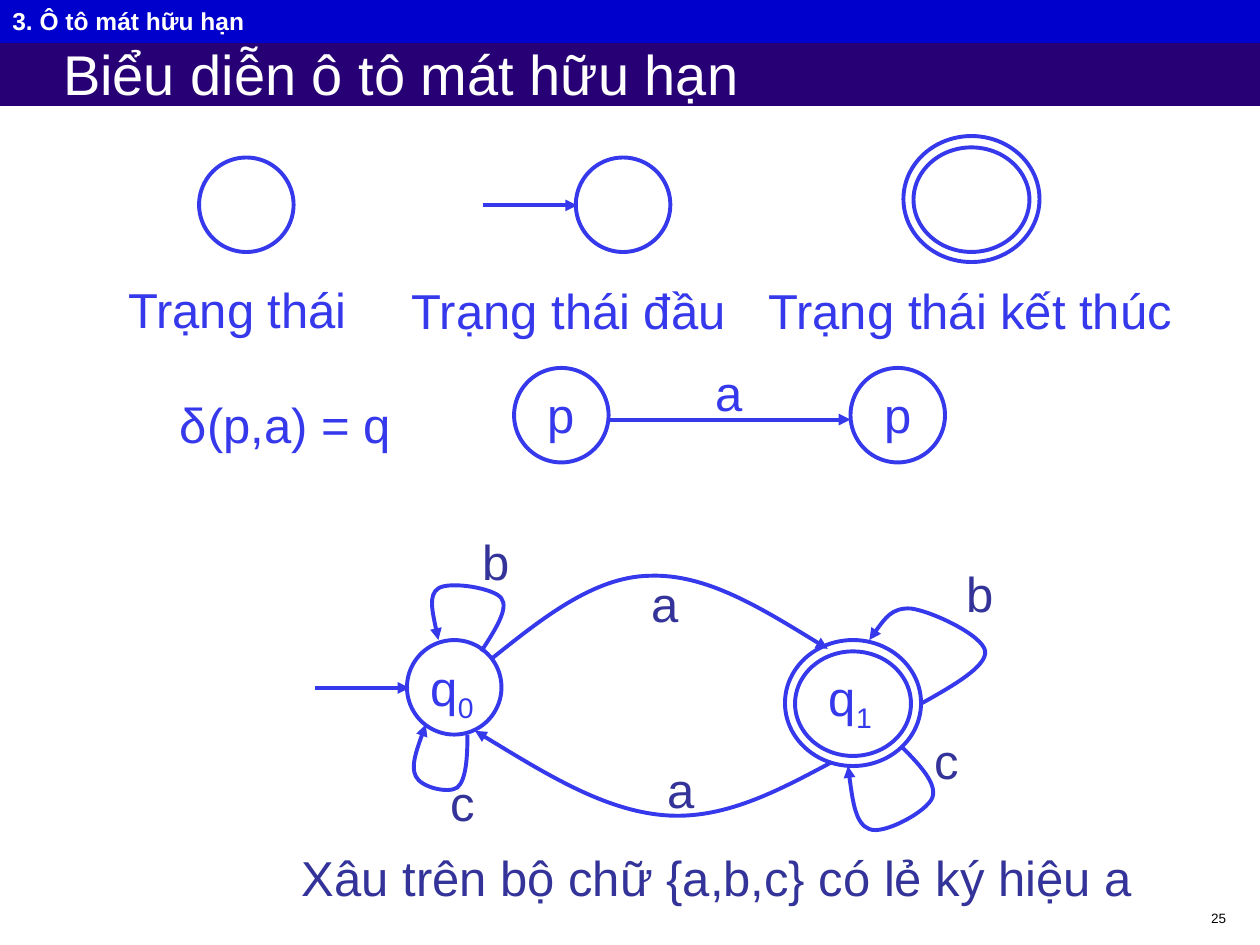
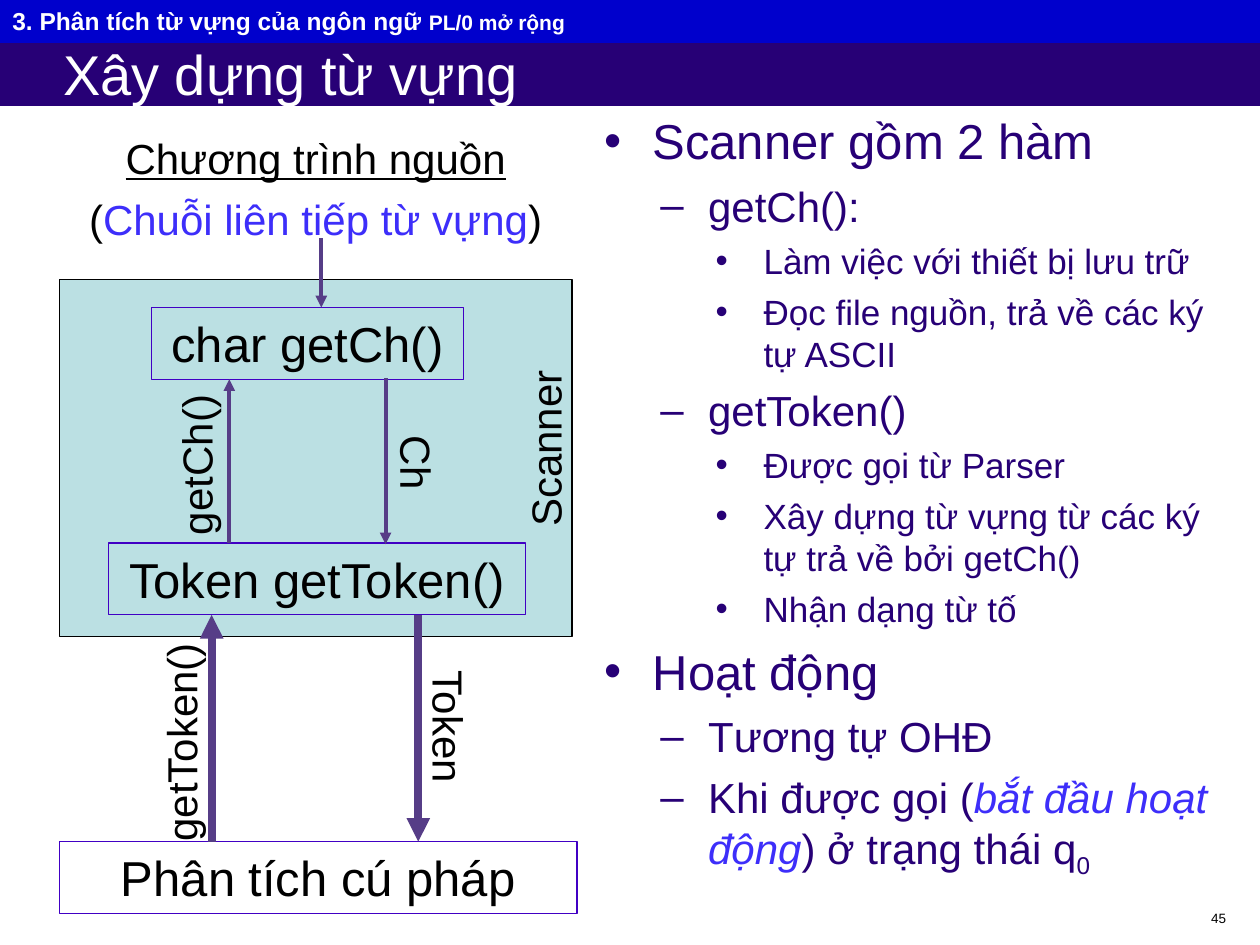
"""Two lecture slides: finite automata diagrams and the structure of a scanner."""
from dataclasses import dataclass
from typing import Any, NamedTuple

from lxml import etree
from pptx import Presentation
from pptx import util as u
from pptx.dml.color import RGBColor
from pptx.enum import shapes as kinds, text as txt
from pptx.oxml.ns import qn

FONT = "Arial"
WHITE, BLACK = "FFFFFF", "000000"
INDIGO, BANNER = "270076", "0000CC"
STATE_BLUE, SYMBOL_BLUE, ACCENT = "3539EB", "333399", "3D2EFA"
SCANNER_FILL, BOX_EDGE, FLOW = "BBE0E3", "4100C4", "563D87"
LEFT, CENTER, RIGHT = txt.PP_ALIGN.LEFT, txt.PP_ALIGN.CENTER, txt.PP_ALIGN.RIGHT
TITLE_AND_BODY, TITLE_ONLY = 1, 5
STATE_SIZE = 0.75
LABEL_HEIGHT = 0.57

Point = tuple[float, float]


class Run(NamedTuple):
    text: str
    format: dict[str, Any] = {}
    subscript: bool = False


class Box(NamedTuple):
    left: float
    top: float
    width: float
    height: float

    def emu(self) -> list[int]:
        return [u.Inches(side) for side in self]


@dataclass
class Label:
    box: Box
    runs: list[Run]
    size: float = 28
    color: str = STATE_BLUE
    align: Any = LEFT
    rotation: int = 0


@dataclass
class Arrow:
    start: Point
    end: Point
    color: str = STATE_BLUE
    width: float = 2.25


@dataclass
class Curve:
    start: Point
    bends: list[tuple[Point, Point, Point]]


@dataclass
class Level:
    size: int
    bullet: str
    margin: float
    before: int


@dataclass
class Item:
    level: int
    runs: list[Run]


LEVELS = [Level(28, "•", 0.38, 7), Level(24, "–", 0.82, 6), Level(20, "•", 1.26, 5)]


def rgb(code: str) -> RGBColor:
    """Turn a hex string into a colour."""
    return RGBColor.from_string(code)


def assign(target: Any, values: dict[str, Any]) -> None:
    """Set each named attribute; a colour is given as hex."""
    for name, value in values.items():
        if name == "color":
            target.color.rgb = rgb(value)
        else:
            setattr(target, name, value)


def place(shape: Any, box: Box) -> None:
    """Move a placeholder to a box."""
    assign(shape, dict(zip(("left", "top", "width", "height"), box.emu())))


def write(paragraph: Any, runs: list[Run], size: float, color: str, align: Any = LEFT) -> None:
    """Fill a paragraph with formatted runs."""
    paragraph.alignment = align
    for part in runs:
        run = paragraph.add_run()
        run.text = part.text
        assign(run.font, {"name": FONT, "size": u.Pt(size), "color": color, **part.format})
        if part.subscript:
            run._r.get_or_add_rPr().set("baseline", "-25000")


def set_frame(frame: Any, left: float = 0.1, top: float = 0.05, anchor: Any = txt.MSO_ANCHOR.TOP) -> None:
    """Give a text frame its wrapping, insets and anchor."""
    assign(frame, {
        "word_wrap": True, "auto_size": txt.MSO_AUTO_SIZE.NONE, "vertical_anchor": anchor,
        "margin_left": u.Inches(left), "margin_right": u.Inches(0.1),
        "margin_top": u.Inches(top), "margin_bottom": u.Inches(top),
    })


def add_label(slide: Any, label: Label) -> Any:
    """Add a text label and return its frame."""
    box = slide.shapes.add_textbox(*label.box.emu())
    box.rotation = label.rotation
    set_frame(box.text_frame)
    write(box.text_frame.paragraphs[0], label.runs, label.size, label.color, label.align)
    return box.text_frame


def add_figure(slide: Any, kind: Any, box: Box, fill: str = "", edge: str = "", width: float = 0.75) -> Any:
    """Add a preset shape with an optional fill and outline."""
    shape = slide.shapes.add_shape(kind, *box.emu())
    shape.shadow.inherit = False
    if fill:
        shape.fill.solid()
        shape.fill.fore_color.rgb = rgb(fill)
    else:
        shape.fill.background()
    if edge:
        assign(shape.line, {"color": edge, "width": u.Pt(width)})
    else:
        shape.line.fill.background()
    set_frame(shape.text_frame)
    return shape


def add_state(slide: Any, left: float, top: float, final: bool = False) -> None:
    """Add a state circle, or the double ring of a final state."""
    rings = [Box(left, top, STATE_SIZE, STATE_SIZE)]
    if final:
        rings = [Box(left + 0.08, top + 0.09, 0.92, 0.83), Box(left, top, 1.08, 1)]
    for ring in rings:
        add_figure(slide, kinds.MSO_SHAPE.OVAL, ring, edge=STATE_BLUE, width=2.25)


def point_arrow(line: Any) -> None:
    """Put a triangle at the end of a line."""
    etree.SubElement(line._get_or_add_ln(), qn("a:tailEnd"), type="triangle")


def add_arrow(slide: Any, arrow: Arrow) -> None:
    """Add a straight arrow without shadow."""
    ends = [u.Inches(value) for value in (*arrow.start, *arrow.end)]
    connector = slide.shapes.add_connector(kinds.MSO_CONNECTOR.STRAIGHT, *ends)
    assign(connector.line, {"color": arrow.color, "width": u.Pt(arrow.width)})
    point_arrow(connector.line)
    etree.SubElement(connector._element.spPr, qn("a:effectLst"))


def add_curve(slide: Any, curve: Curve) -> None:
    """Add a curved arrow, turning each three segments into one cubic bend."""
    knots = [(u.Inches(x), u.Inches(y)) for bend in curve.bends for x, y in bend]
    builder = slide.shapes.build_freeform(*(u.Inches(value) for value in curve.start))
    builder.add_line_segments(knots, close=False)
    transition = builder.convert_to_shape()
    outline = next(transition._element.iter(qn("a:path")))
    segments = outline.findall(qn("a:lnTo"))
    for first in range(0, len(segments), 3):
        cubic = etree.SubElement(outline, qn("a:cubicBezTo"))
        for segment in segments[first:first + 3]:
            cubic.append(segment[0])
            outline.remove(segment)
    transition.shadow.inherit = False
    transition.fill.background()
    assign(transition.line, {"color": STATE_BLUE, "width": u.Pt(2.25)})
    point_arrow(transition.line)


def fill_outline(body: Any, box: Box, items: list[Item]) -> None:
    """Place the body and write its bulleted outline."""
    place(body, box)
    frame = body.text_frame
    set_frame(frame)
    for index, item in enumerate(items):
        level = LEVELS[item.level]
        paragraph = frame.add_paragraph() if index else frame.paragraphs[0]
        props = paragraph._p.get_or_add_pPr()
        props.set("marL", str(u.Inches(level.margin)))
        props.set("indent", str(u.Inches(-0.38)))
        color = etree.SubElement(props, qn("a:buClr"))
        etree.SubElement(color, qn("a:srgbClr"), val=INDIGO)
        etree.SubElement(props, qn("a:buFont"), typeface=FONT)
        etree.SubElement(props, qn("a:buChar"), char=level.bullet)
        before = u.Pt(level.before if index else 0)
        assign(paragraph, {"level": item.level, "line_spacing": 1.0, "space_before": before})
        write(paragraph, item.runs, level.size, INDIGO)


def start_slide(deck: Any, layout: int, chapter: list[Run], heading: str, number: str) -> Any:
    """Add a slide with title band, chapter band and number."""
    slide = deck.slides.add_slide(deck.slide_layouts[layout])
    title = slide.shapes.title
    place(title, Box(0, 0.32, 10, 0.52))
    title.fill.solid()
    title.fill.fore_color.rgb = rgb(INDIGO)
    set_frame(title.text_frame, 0.5, 0, txt.MSO_ANCHOR.MIDDLE)
    write(title.text_frame.paragraphs[0], [Run(heading)], 32, WHITE)
    band = add_figure(slide, kinds.MSO_SHAPE.RECTANGLE, Box(0, 0, 10, 0.34), fill=BANNER)
    write(band.text_frame.paragraphs[0], chapter, 14, WHITE)
    add_label(slide, Label(Box(7.75, 7.17, 2.08, 0.24), [Run(number)], 7.7, BLACK, RIGHT))
    return slide


def build_automata(deck: Any) -> None:
    """Build the slide on drawing finite automata."""
    chapter = [Run("3. Ô tô mát hữu hạn", {"bold": True})]
    slide = start_slide(deck, TITLE_ONLY, chapter, "Biểu diễn ô tô mát hữu hạn", "25")
    for left, top in ((1.58, 1.25), (4.57, 1.25), (4.08, 2.92), (6.75, 2.92), (3.23, 5.08)):
        add_state(slide, left, top)
    for left, top in ((7.17, 1.08), (6.23, 5.08)):
        add_state(slide, left, top, final=True)
    for start, end in (((3.83, 1.63), (4.58, 1.63)), ((4.83, 3.33), (6.75, 3.33)), ((2.5, 5.46), (3.25, 5.46))):
        add_arrow(slide, Arrow(start, end))
    transitions = [
        Curve((3.9, 5.23), [((4.3, 4.91), (4.71, 4.58), (5.15, 4.57)), ((5.6, 4.55), (6.08, 4.85), (6.57, 5.15))]),
        Curve((6.6, 6.05), [((6.17, 6.28), (5.74, 6.51), (5.27, 6.47)), ((4.79, 6.43), (4.28, 6.11), (3.77, 5.8))]),
        Curve((7.32, 5.58), [((7.57, 5.44), (7.83, 5.29), (7.82, 5.17)), ((7.8, 5.04), (7.39, 4.85), (7.23, 4.83)),
                             ((7.08, 4.82), (6.99, 4.95), (6.9, 5.08))]),
        Curve((3.82, 5.17), [((3.93, 5), (4.04, 4.83), (3.98, 4.75)), ((3.93, 4.67), (3.57, 4.61), (3.48, 4.67)),
                             ((3.4, 4.72), (3.44, 4.9), (3.48, 5.08))]),
        Curve((3.71, 5.83), [((3.71, 6.01), (3.7, 6.19), (3.63, 6.25)), ((3.56, 6.3), (3.34, 6.25), (3.3, 6.16)),
                             ((3.26, 6.08), (3.32, 5.91), (3.38, 5.75))]),
        Curve((7.15, 5.92), [((7.3, 6.07), (7.44, 6.22), (7.4, 6.33)), ((7.36, 6.44), (7.01, 6.63), (6.9, 6.58)),
                             ((6.79, 6.54), (6.76, 6.31), (6.73, 6.08))]),
    ]
    for transition in transitions:
        add_curve(slide, transition)
    legend = [
        ("Trạng thái", 0.92, 2.17, 2.08), ("Trạng thái đầu", 3.17, 2.18, 2.92),
        ("Trạng thái kết thúc", 6, 2.18, 3.58), ("δ(p,a) = q", 1.33, 3.08, 2.17),
        ("p", 4.25, 3, 0.33), ("p", 6.92, 3, 0.33), ("a", 5.58, 2.83, 0.33),
    ]
    for words, left, top, width in legend:
        add_label(slide, Label(Box(left, top, width, LABEL_HEIGHT), [Run(words)]))
    for index, left, top in (("0", 3.32, 5.17), ("1", 6.48, 5.25)):
        add_label(slide, Label(Box(left, top, 0.75, 0.63), [Run("q"), Run(index, subscript=True)]))
    symbols = [("a", 5.07, 4.5), ("a", 5.2, 5.98), ("b", 7.57, 4.42),
               ("b", 3.73, 4.17), ("c", 3.48, 6.08), ("c", 7.32, 5.75)]
    for symbol, left, top in symbols:
        add_label(slide, Label(Box(left, top, 0.25, LABEL_HEIGHT), [Run(symbol)], color=SYMBOL_BLUE))
    language = [Run("Xâu trên bộ chữ {a,b,c} có lẻ ký hiệu a")]
    add_label(slide, Label(Box(1.08, 6.68, 8, LABEL_HEIGHT), language, color=SYMBOL_BLUE, align=RIGHT))


def build_scanner(deck: Any) -> None:
    """Build the slide on the scanner and its functions."""
    chapter = [Run("3. Phân tích từ vựng của ngôn ngữ ", {"bold": True}),
               Run("PL/0 mở rộng", {"bold": True, "size": u.Pt(12)})]
    slide = start_slide(deck, TITLE_AND_BODY, chapter, "Xây dựng từ vựng", "45")
    outline = [
        (0, "Scanner gồm 2 hàm"), (1, "getCh():"), (2, "Làm việc với thiết bị lưu trữ"),
        (2, "Đọc file nguồn, trả về các ký tự ASCII"), (1, "getToken()"), (2, "Được gọi từ Parser"),
        (2, "Xây dựng từ vựng từ các ký tự trả về bởi getCh()"), (2, "Nhận dạng từ tố"),
        (0, "Hoạt động"), (1, "Tương tự OHĐ"),
    ]
    start_state = Item(1, [Run("Khi được gọi ("), Run("bắt đầu hoạt động", {"color": ACCENT, "italic": True}),
                           Run(") ở trạng thái q"), Run("0", subscript=True)])
    items = [Item(level, [Run(words)]) for level, words in outline] + [start_state]
    fill_outline(slide.placeholders[1], Box(4.7, 0.83, 5.14, 6.61), items)

    add_figure(slide, kinds.MSO_SHAPE.RECTANGLE, Box(0.47, 2.22, 4.07, 2.83), SCANNER_FILL, BLACK)
    stages = [("char getCh()", 1.2, 2.44, 2.48), ("Token getToken()", 0.86, 4.31, 3.31),
              ("Phân tích cú pháp", 0.47, 6.68, 4.11)]
    for words, left, top, width in stages:
        stage = add_figure(slide, kinds.MSO_SHAPE.RECTANGLE, Box(left, top, width, LABEL_HEIGHT), edge=BOX_EDGE)
        write(stage.text_frame.paragraphs[0], [Run(words)], 28, BLACK, CENTER)
    flows = [(2.55, 1.89, 2.44, 2.25), (1.82, 4.31, 3.01, 2.25), (3.06, 3, 4.32, 2.25),
             (3.32, 4.88, 6.68, 4.5), (1.68, 6.68, 4.88, 4.5)]
    for x, start, end, width in flows:
        add_arrow(slide, Arrow((x, start), (x, end), FLOW, width))

    program = [Run("Chương trình nguồn", {"underline": True})]
    source = add_label(slide, Label(Box(0.47, 1, 4.07, 0.99), program, 24, BLACK, CENTER))
    stream = source.add_paragraph()
    stream.space_before = u.Pt(6)
    write(stream, [Run("("), Run("Chuỗi liên tiếp từ vựng", {"color": ACCENT}), Run(")")], 24, BLACK, CENTER)
    calls = [("Token", 2.91, 5.63, 1.31, 90, LEFT), ("getToken()", 0.52, 5.64, 1.83, 270, CENTER),
             ("getCh()", 0.86, 3.44, 1.39, 270, CENTER), ("Ch", 2.92, 3.5, 0.78, 90, LEFT),
             ("Scanner", 3.41, 3.31, 1.83, 270, CENTER)]
    for words, left, top, width, turn, align in calls:
        add_label(slide, Label(Box(left, top, width, 0.5), [Run(words)], 24, BLACK, align, turn))


def main() -> None:
    """Build and save the deck."""
    deck = Presentation()
    assign(deck, {"slide_width": u.Inches(10), "slide_height": u.Inches(7.5)})
    build_automata(deck)
    build_scanner(deck)
    deck.save("out.pptx")


if __name__ == "__main__":
    main()
